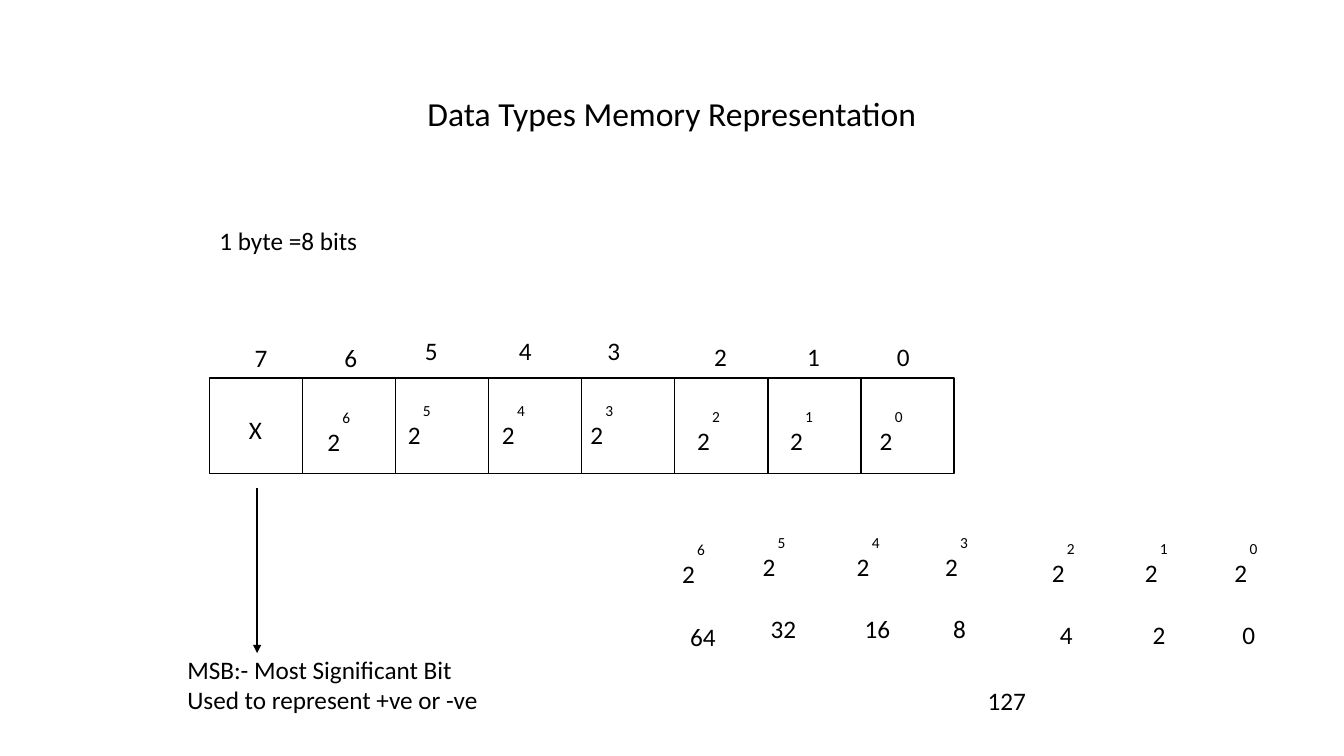
from lxml.etree import SubElement
from pptx import Presentation
from pptx.dml.color import RGBColor
from pptx.enum.shapes import MSO_CONNECTOR, MSO_SHAPE
from pptx.enum.text import MSO_ANCHOR, MSO_AUTO_SIZE, PP_ALIGN
from pptx.oxml.ns import qn
from pptx.util import Cm, Pt

BLACK = RGBColor(0, 0, 0)
WHITE = RGBColor(255, 255, 255)
FONT = "Calibri"

CELL_COUNT = 8
CELL_LEFT, CELL_TOP = 5.28, 9.53
CELL_WIDTH, CELL_HEIGHT = 2.345, 2.41

# Bit number, left and top of its label in cm, decimal value
BITS = [
    (7, 6.17, 8.51, None),
    (6, 8.43, 8.51, "64"),
    (5, 10.46, 8.33, "32"),
    (4, 12.83, 8.33, "16"),
    (3, 15.06, 8.33, "8"),
    (2, 17.75, 8.48, "4"),
    (1, 20.09, 8.48, "2"),
    (0, 22.35, 8.48, "0"),
]


def write_text(frame, text, size=18, color=BLACK, align=PP_ALIGN.LEFT):
    """Fill a text frame with one formatted paragraph and return it."""
    para = frame.paragraphs[0]
    para.text = text
    para.alignment = align
    for span in para.runs:
        span.font.name = FONT
        span.font.size = Pt(size)
        span.font.color.rgb = color
    return para


def add_label(slide, text, left, top, width=0.84, height=1.02, size=18):
    """Add an unwrapped text box, placed in cm."""
    box = slide.shapes.add_textbox(Cm(left), Cm(top), Cm(width), Cm(height))
    box.text_frame.word_wrap = False
    box.text_frame.auto_size = MSO_AUTO_SIZE.SHAPE_TO_FIT_TEXT
    write_text(box.text_frame, text, size=size)


def add_heading(slide, text):
    """Put the heading in the subtitle placeholder and drop the empty title."""
    title = slide.shapes.title.element
    title.getparent().remove(title)
    box = slide.placeholders[1]
    box.left, box.top, box.width, box.height = Cm(4.23), Cm(2.34), Cm(25.4), Cm(12.26)
    box.text_frame.vertical_anchor = MSO_ANCHOR.TOP
    box.text_frame.auto_size = MSO_AUTO_SIZE.NONE
    para = write_text(box.text_frame, text, size=24, align=PP_ALIGN.CENTER)
    para.line_spacing = 0.9
    para.space_before = Pt(10)


def add_cell(slide, column):
    """Add the outlined box of one bit."""
    cell = slide.shapes.add_shape(
        MSO_SHAPE.RECTANGLE, Cm(CELL_LEFT + column * CELL_WIDTH), Cm(CELL_TOP),
        Cm(CELL_WIDTH), Cm(CELL_HEIGHT))
    cell.shadow.inherit = False
    cell.fill.solid()
    cell.fill.fore_color.rgb = WHITE
    cell.line.color.rgb = BLACK
    cell.line.width = Pt(1)


def add_power(slide, exponent, left, top):
    """Add a power of two as a base and a small raised exponent."""
    add_label(slide, str(exponent), left + 0.38, top - 0.45,
              width=0.71, height=0.74, size=11)
    add_label(slide, "2", left, top)


def add_arrow(slide, left, top, bottom):
    """Add a vertical arrow that points down."""
    arrow = slide.shapes.add_connector(
        MSO_CONNECTOR.STRAIGHT, Cm(left), Cm(top), Cm(left), Cm(bottom))
    arrow.line.color.rgb = BLACK
    arrow.line.width = Pt(1.5)
    SubElement(arrow.line._get_or_add_ln(), qn("a:tailEnd"), type="triangle")
    SubElement(arrow.element.spPr, qn("a:effectLst"))


def main():
    """Build the slide and save it."""
    deck = Presentation()
    deck.slide_width, deck.slide_height = Cm(33.87), Cm(19.05)
    page = deck.slides.add_slide(deck.slide_layouts[0])

    add_heading(page, "Data Types Memory Representation")
    add_label(page, "1 byte =8 bits", 5.28, 5.56, width=4.04)
    for column in range(CELL_COUNT):
        add_cell(page, column)

    for bit, left, top, value in BITS:
        add_label(page, str(bit), left, top)
        if value is None:
            add_label(page, "X", 6.02, 10.31, width=0.76)
            continue
        add_power(page, bit, left - 0.43, top + 2.11)
        add_power(page, bit, left + 8.51, top + 5.43)
        add_label(page, value, left + 8.71, top + 7.01,
                  width=0.51 + 0.33 * len(value))

    add_arrow(page, 6.48, 12.29, 16.46)
    add_label(page, "MSB:- Most Significant Bit\vUsed to represent +ve or -ve",
              4.47, 16.36, width=7.92, height=1.8)
    add_label(page, "127", 24.64, 17.15, width=1.5)
    deck.save("out.pptx")


main()
